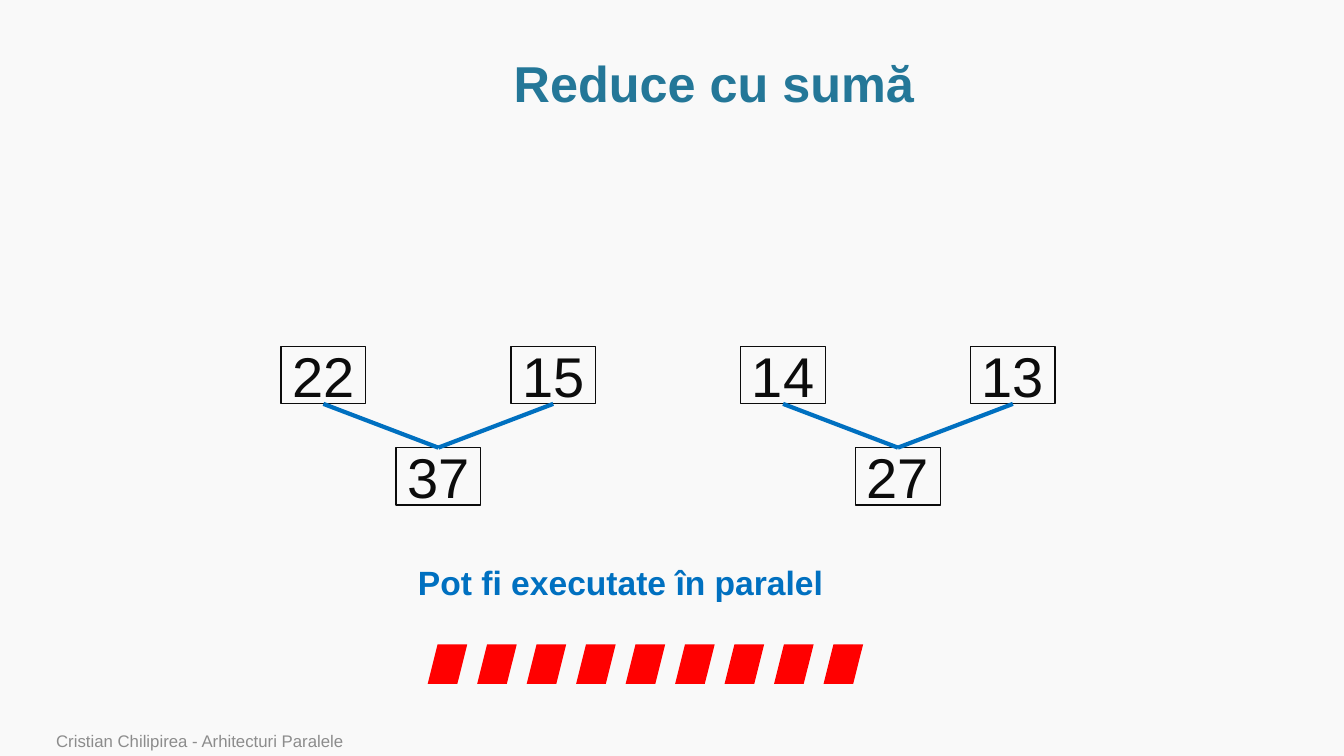
import pptx
import pptx.dml.color
import pptx.enum.shapes
import pptx.enum.text
import pptx.oxml.ns
import pptx.util
from lxml import etree

Pt = pptx.util.Pt
Shape = pptx.enum.shapes.MSO_SHAPE
Align = pptx.enum.text.PP_ALIGN
Anchor = pptx.enum.text.MSO_ANCHOR
INK, BLUE, RED = "0C0C0C", "0070C0", "FF0000"


def color(value):
    """Turn a hex string into a colour."""
    return pptx.dml.color.RGBColor.from_string(value)


def write(box, text, size, tint, bold=False, align=Align.LEFT, anchor=Anchor.MIDDLE, wrap=True):
    """Put one formatted paragraph in a shape and return it."""
    frame = box.text_frame
    frame.word_wrap = wrap
    frame.vertical_anchor = anchor
    para = frame.paragraphs[0]
    para.text = text
    para.alignment = align
    font = para.font
    font.name, font.size, font.bold = "Arial", Pt(size), bold
    font.color.rgb = color(tint)
    return para


def add_title(page, text, left, top, width, height):
    """Place the slide title in the given box."""
    title = page.shapes.title
    title.left, title.top, title.width, title.height = map(Pt, (left, top, width, height))
    para = write(title, text, 36, "247798", bold=True, align=Align.CENTER)
    para.line_spacing = 0.9


def add_label(page, text, size, tint, left, top, width, height, **style):
    """Place a plain text box."""
    box = page.shapes.add_textbox(*map(Pt, (left, top, width, height)))
    write(box, text, size, tint, **style)


def add_number(page, value, left, top, width, height):
    """Draw one outlined number and return its shape."""
    box = page.shapes.add_shape(Shape.RECTANGLE, *map(Pt, (left, top, width, height)))
    box.shadow.inherit = False
    box.fill.background()
    box.line.color.rgb = color(INK)
    box.line.width = Pt(1)
    write(box, str(value), 40, INK, align=Align.CENTER)
    return box


def join(page, upper, lower):
    """Link the bottom of one box to the top of another."""
    link = page.shapes.add_connector(pptx.enum.shapes.MSO_CONNECTOR.STRAIGHT, 0, 0, 0, 0)
    link.begin_connect(upper, 2)
    link.end_connect(lower, 0)
    link.line.color.rgb = color(BLUE)
    link.line.width = Pt(3)
    properties = link._element.spPr
    etree.SubElement(properties, pptx.oxml.ns.qn("a:effectLst"))


def add_reduction(page, values, left, top, width, height):
    """Draw a row of numbers and the sums of its pairs below."""
    box_width, box_height = 60.5, 41
    step = (width - box_width) / (len(values) - 1)
    sum_top = top + height - box_height
    numbers = [add_number(page, value, left + index * step, top, box_width, box_height)
               for index, value in enumerate(values)]
    for index in range(0, len(values), 2):
        total = add_number(page, sum(values[index:index + 2]),
                           left + (index + 0.5) * step, sum_top, box_width, box_height)
        for number in numbers[index:index + 2]:
            join(page, number, total)


def add_stripes(page, count, left, top, width, height):
    """Draw a row of evenly spaced slanted marks."""
    step = (width - height) / (count - 1)
    for index in range(count):
        stripe = page.shapes.add_shape(
            Shape.PARALLELOGRAM, Pt(left + index * step), Pt(top), Pt(height), Pt(height))
        stripe.shadow.inherit = False
        stripe.fill.solid()
        stripe.fill.fore_color.rgb = color(RED)
        stripe.line.fill.background()


def main():
    """Build the slide and save the deck."""
    deck = pptx.Presentation()
    deck.slide_width, deck.slide_height = Pt(960), Pt(540)
    page = deck.slides.add_slide(deck.slide_layouts[5])
    page.background.fill.solid()
    page.background.fill.fore_color.rgb = color("F9F9F9")
    add_title(page, "Reduce cu sumă", 82, 36.5, 856, 50)
    add_reduction(page, [22, 15, 14, 13], 200.75, 247.5, 553, 113.25)
    add_label(page, "Pot fi executate în paralel", 24, BLUE, 291.5, 397.5, 307, 36,
              bold=True, anchor=Anchor.TOP, wrap=False)
    add_stripes(page, 9, 305.5, 460.25, 311, 28.25)
    add_label(page, "Cristian Chilipirea - Arhitecturi Paralele", 12, "8C8C8C",
              33, 520, 707, 20, anchor=Anchor.BOTTOM)
    deck.save("out.pptx")


if __name__ == "__main__":
    main()
